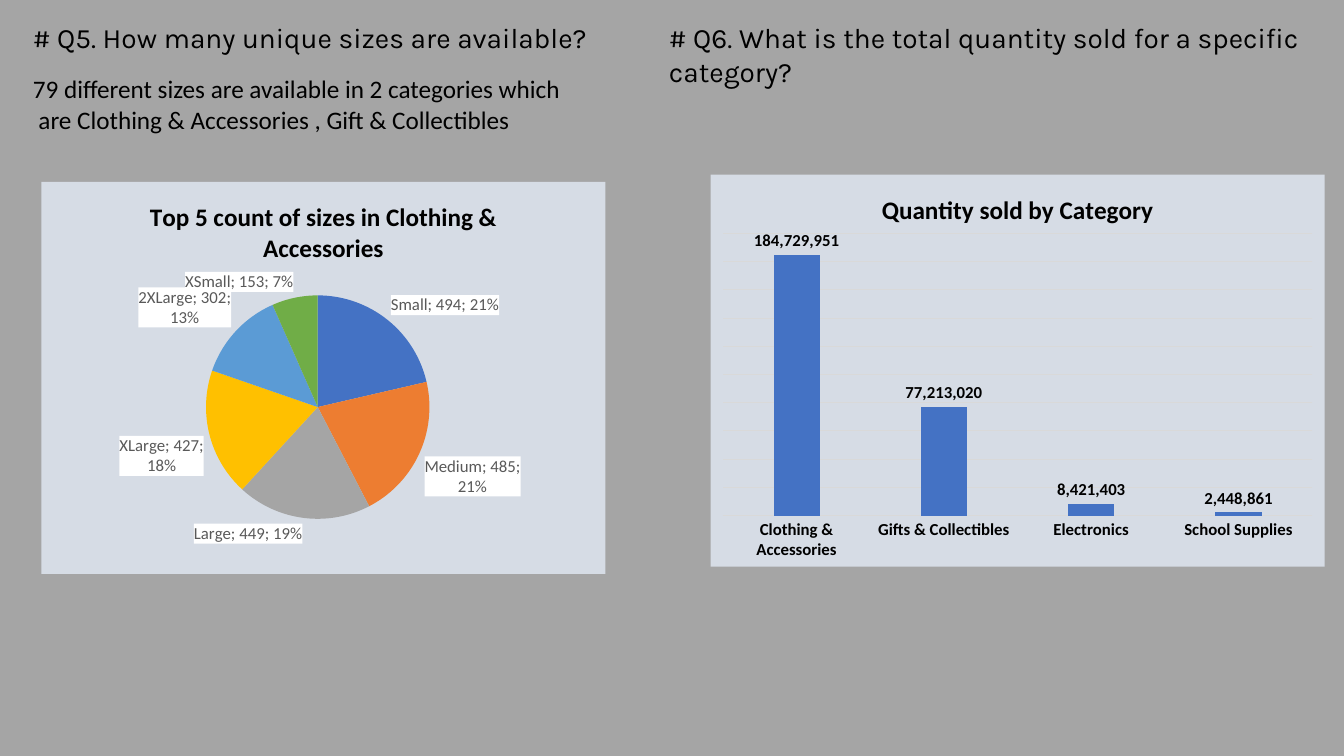
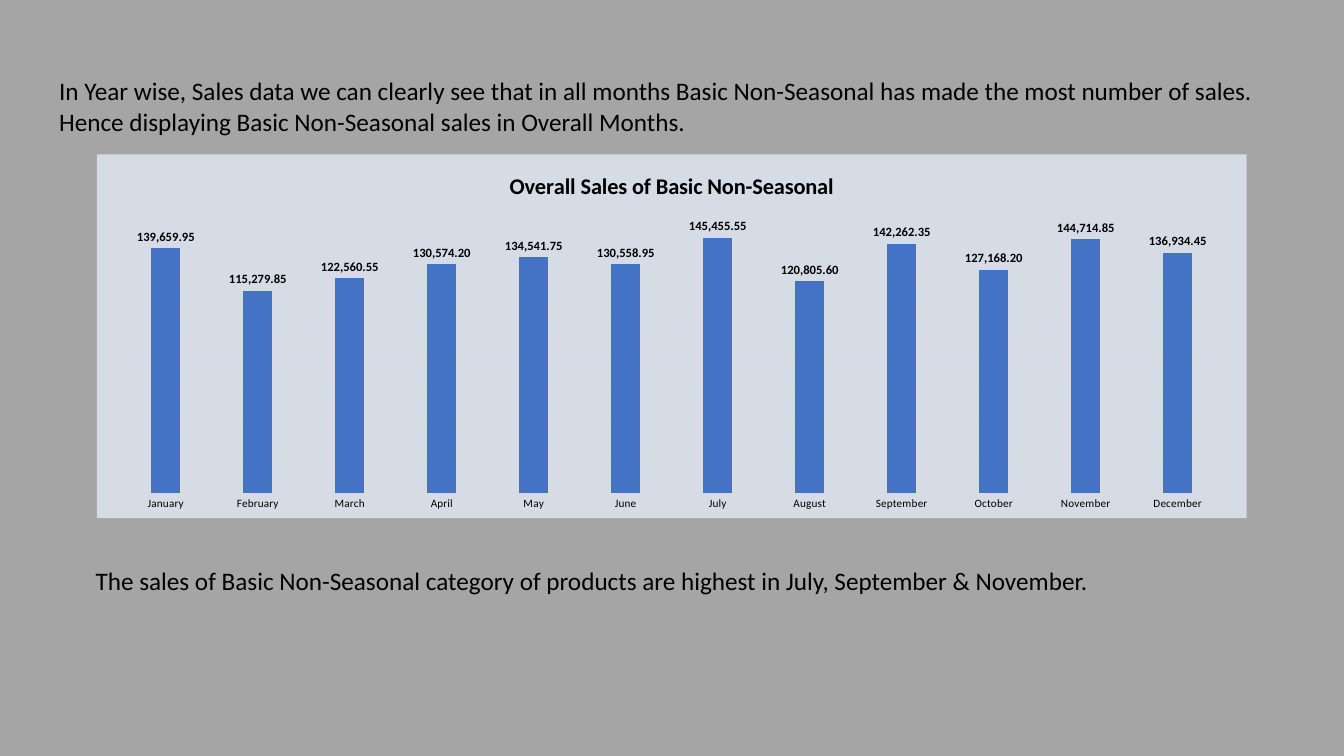
from lxml.etree import SubElement
from pptx import Presentation
from pptx.chart.data import CategoryChartData
from pptx.dml.color import RGBColor
from pptx.enum.chart import XL_CHART_TYPE, XL_LABEL_POSITION, XL_TICK_MARK
from pptx.enum.text import MSO_AUTO_SIZE
from pptx.oxml import parse_xml
from pptx.oxml.ns import nsdecls, qn
from pptx.util import Cm, Pt

BACKGROUND = "A5A5A5"
PANEL = "D6DCE5"
INK = "000000"
LABEL_GREY = "595959"
GRID = "D9D9D9"
WHITE = "FFFFFF"
BAR = "4472C4"
SLICES = [BAR, "ED7D31", "A5A5A5", "FFC000", "5B9BD5", "70AD47"]
BODY_FONT = "Calibri"
QUESTION_FONT = "Karla"


def color(hex_code):
    return RGBColor.from_string(hex_code)


def style_font(font, size, hex_code=INK, bold=False, name=BODY_FONT):
    font.name = name
    font.size = Pt(size)
    font.bold = bold
    font.color.rgb = color(hex_code)


def add_slide(deck):
    slide = deck.slides.add_slide(deck.slide_layouts[6])
    slide.background.fill.solid()
    slide.background.fill.fore_color.rgb = color(BACKGROUND)
    return slide


def add_text(slide, box, text, size=18, name=BODY_FONT):
    frame = slide.shapes.add_textbox(*map(Cm, box)).text_frame
    frame.word_wrap = True
    frame.auto_size = MSO_AUTO_SIZE.SHAPE_TO_FIT_TEXT
    frame.text = text
    for paragraph in frame.paragraphs:
        for run in paragraph.runs:
            style_font(run.font, size, name=name)
    return frame


def add_question(slide, box, text):
    add_text(slide, box, text, 20, QUESTION_FONT)


def fill_properties(hex_code):
    return parse_xml(
        f'<c:spPr {nsdecls("c", "a")}><a:solidFill><a:srgbClr val="{hex_code}"/>'
        "</a:solidFill><a:ln><a:noFill/></a:ln></c:spPr>"
    )


def place_plot(chart, plot_box):
    plot_area = chart._chartSpace.chart.plotArea
    for old_layout in plot_area.findall(qn("c:layout")):
        plot_area.remove(old_layout)
    layout = parse_xml(f'<c:layout {nsdecls("c")}><c:manualLayout/></c:layout>')
    settings = [("layoutTarget", "inner"), ("xMode", "edge"), ("yMode", "edge")]
    settings += zip("xywh", plot_box)
    for tag, value in settings:
        SubElement(layout[0], qn(f"c:{tag}")).set("val", str(value))
    plot_area.insert(0, layout)


def add_chart(slide, kind, box, title, title_size, values, plot_box, number_format):
    data = CategoryChartData(number_format=number_format)
    data.categories = list(values)
    data.add_series("Series 1", list(values.values()))
    chart = slide.shapes.add_chart(kind, *map(Cm, box), data).chart
    style_font(chart.font, 10)
    chart.has_legend = False
    chart.has_title = True
    chart.chart_title.text_frame.text = title
    title_run = chart.chart_title.text_frame.paragraphs[0].runs[0]
    style_font(title_run.font, title_size, bold=True)
    chart._chartSpace.chart.addnext(fill_properties(PANEL))
    place_plot(chart, plot_box)
    return chart


def add_labels(plot, size, hex_code=INK, bold=False):
    plot.has_data_labels = True
    labels = plot.data_labels
    style_font(labels.font, size, hex_code, bold)
    labels.position = XL_LABEL_POSITION.OUTSIDE_END
    labels.show_value = True
    return labels


def add_pie(slide, box, title, values, plot_box):
    chart = add_chart(slide, XL_CHART_TYPE.PIE, box, title, 18, values, plot_box, "General")
    plot = chart.plots[0]
    for index, hex_code in enumerate(SLICES):
        fill = plot.series[0].points[index].format.fill
        fill.solid()
        fill.fore_color.rgb = color(hex_code)
    labels = add_labels(plot, 12, LABEL_GREY)
    labels.show_category_name = True
    labels.show_percentage = True
    label_xml = labels._element
    label_xml.find(qn("c:txPr")).addprevious(fill_properties(WHITE))
    separator = parse_xml(f'<c:separator {nsdecls("c")}>; </c:separator>')
    label_xml.find(qn("c:showBubbleSize")).addnext(separator)


def add_columns(slide, box, title, title_size, values, plot_box, number_format,
                top, label_size, category_size, category_bold=False):
    chart = add_chart(slide, XL_CHART_TYPE.COLUMN_CLUSTERED, box, title, title_size,
                      values, plot_box, number_format)
    plot = chart.plots[0]
    plot.vary_by_categories = False
    plot.gap_width = 219
    plot.overlap = -27
    fill = plot.series[0].format.fill
    fill.solid()
    fill.fore_color.rgb = color(BAR)
    labels = add_labels(plot, label_size, bold=True)
    labels.number_format = number_format
    labels.number_format_is_linked = False

    categories = chart.category_axis
    categories.major_tick_mark = XL_TICK_MARK.NONE
    style_font(categories.tick_labels.font, category_size, bold=category_bold)
    amounts = chart.value_axis
    amounts.minimum_scale = 0
    amounts.maximum_scale = top
    amounts.has_major_gridlines = True
    amounts.visible = False
    for line in (categories.format.line, amounts.major_gridlines.format.line):
        line.color.rgb = color(GRID)
        line.width = Pt(0.75)


def build_sizes_and_quantities(deck):
    slide = add_slide(deck)
    add_question(slide, (0.58, 0.4, 15.5, 1.12), "# Q5. How many unique sizes are available?")
    answer = add_text(
        slide, (0.58, 1.73, 15.5, 1.8),
        "79 different sizes are available in 2 categories which\n"
        "are Clothing & Accessories , Gift & Collectibles",
    )
    answer.paragraphs[1]._p.get_or_add_pPr().set("marL", str(Cm(0.14)))
    add_pie(
        slide, (1.04, 4.58, 14.22, 9.88),
        "Top 5 count of sizes in Clothing & Accessories",
        {"Small": 494, "Medium": 485, "Large": 449,
         "XLarge": 427, "2XLarge": 302, "XSmall": 153},
        (0.29, 0.29, 0.4, 0.57),
    )
    add_question(slide, (16.61, 0.4, 17, 1.96),
                 "# Q6. What is the total quantity sold for a specific category?")
    add_columns(
        slide, (17.91, 4.4, 15.47, 9.88), "Quantity sold by Category", 18,
        {"Clothing & Accessories": 184729951, "Gifts & Collectibles": 77213020,
         "Electronics": 8421403, "School Supplies": 2448861},
        (0.02, 0.15, 0.96, 0.72), "#,##0", 200000000, 12, 12, True,
    )


def build_monthly_sales(deck):
    slide = add_slide(deck)
    add_text(
        slide, (1.24, 1.78, 31.62, 1.8),
        "In Year wise, Sales data we can clearly see that in all months Basic Non-Seasonal "
        "has made the most number of sales. Hence displaying Basic Non-Seasonal sales in "
        "Overall Months.",
    )
    add_columns(
        slide, (2.44, 3.89, 28.98, 9.17), "Overall Sales of Basic Non-Seasonal", 16,
        {"January": 139659.95, "February": 115279.85, "March": 122560.55,
         "April": 130574.2, "May": 134541.75, "June": 130558.95,
         "July": 145455.55, "August": 120805.6, "September": 142262.35,
         "October": 127168.2, "November": 144714.85, "December": 136934.45},
        (0.02, 0.16, 0.96, 0.77), "#,##0.00", 160000, 9, 8,
    )
    add_text(
        slide, (2.16, 14.12, 29.26, 1.02),
        "The sales of Basic Non-Seasonal category of products are highest in July, "
        "September & November.",
    )


def main():
    deck = Presentation()
    deck.slide_width = Cm(33.87)
    deck.slide_height = Cm(19.05)
    build_sizes_and_quantities(deck)
    build_monthly_sales(deck)
    deck.save("out.pptx")


if __name__ == "__main__":
    main()
